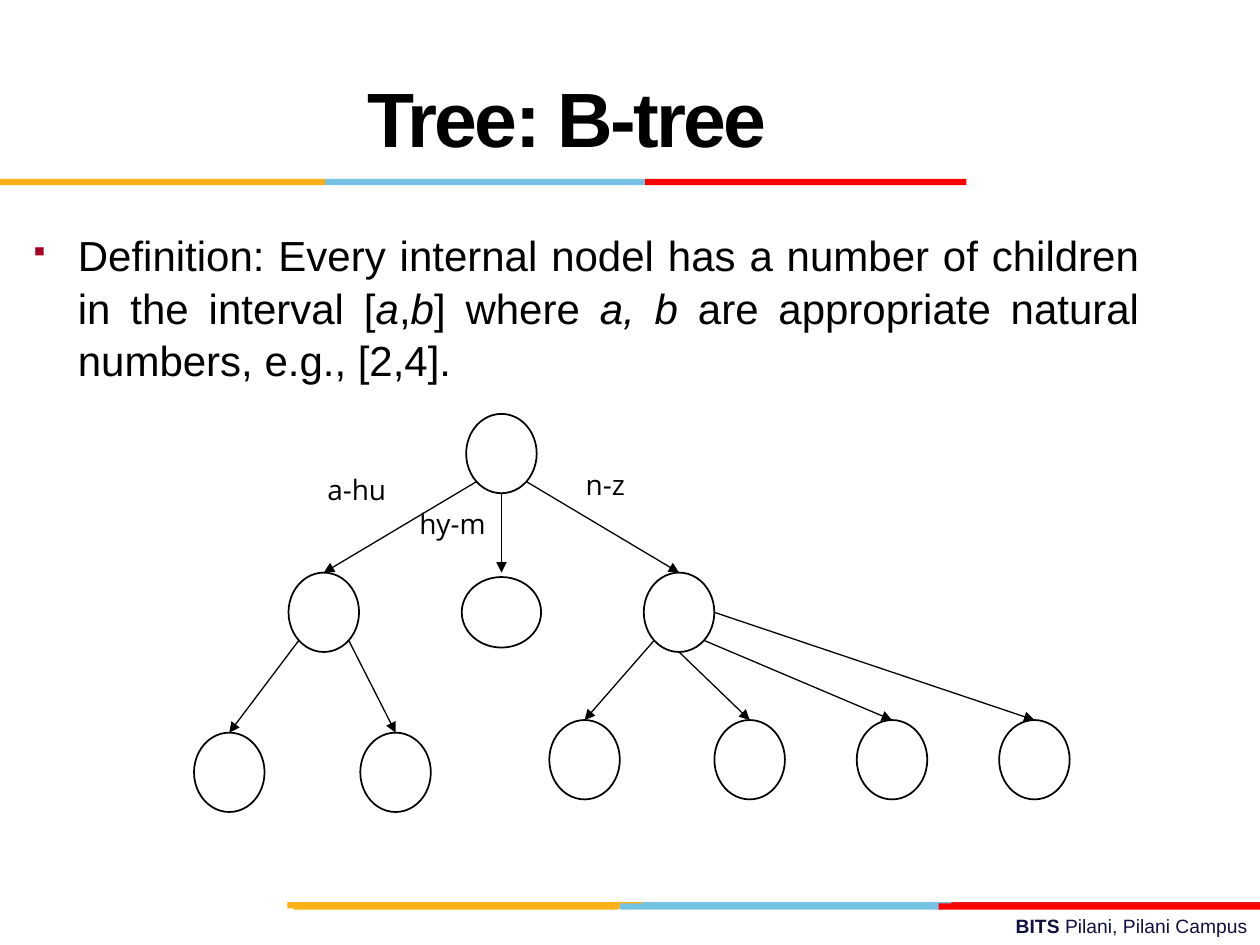
from math import cos, radians, sin
from lxml import etree
from pptx import Presentation
from pptx import util as u
from pptx.dml.color import RGBColor
from pptx.enum import shapes, text
from pptx.oxml.ns import qn

BLACK = RGBColor(0, 0, 0)
NAVY = RGBColor(0x10, 0x11, 0x41)
GOLD = RGBColor(0xFC, 0xB0, 0x17)
SKY = RGBColor(0x76, 0xC2, 0xE5)
CRIMSON = RGBColor(0xE3, 0x1C, 0x24)
RED = RGBColor(0xFF, 0, 0)

WIDE, HIGH = 0.56, 0.63
# Centre of each node; children hang below their parent
NODES = {
    "root": (3.98, 3.6),
    "left": (2.57, 4.86), "mid": (3.98, 4.86), "right": (5.39, 4.86),
    "l1": (1.82, 6.13), "l2": (3.14, 6.13),
    "r1": (4.64, 6.03), "r2": (5.95, 6.03), "r3": (7.08, 6.03), "r4": (8.21, 6.03),
}
# Parent, child, angle at which the arrow leaves the parent (90 is down)
EDGES = [
    ("root", "left", 135), ("root", "mid", 90), ("root", "right", 45),
    ("left", "l1", 135), ("left", "l2", 45),
    ("right", "r1", 135), ("right", "r2", 90), ("right", "r3", 45), ("right", "r4", 0),
]
LABELS = [("a-hu", 2.5, 3.7, 0.73), ("hy-m", 3.23, 3.97, 0.78), ("n-z", 4.55, 3.66, 0.58)]
BANDS = [
    (7.16, [(5.06, 2.55, SKY), (7.55, 2.45, CRIMSON), (2.28, 2.82, GOLD)]),
    (7.17, [(4.92, 2.55, SKY), (2.33, 2.58, GOLD), (7.45, 2.55, RED)]),
    (1.42, [(2.58, 2.55, SKY), (0, 2.58, GOLD), (5.12, 2.55, RED)]),
]


def box(slide, at, runs, align=text.PP_ALIGN.LEFT, wrap=True, bullet=None, **font):
    """Add a one-paragraph text box; runs are (text, extra font values) pairs."""
    frame = slide.shapes.add_textbox(*map(u.Inches, at)).text_frame
    frame.word_wrap = wrap
    para = frame.paragraphs[0]
    para.alignment = align
    if bullet:
        mark(para, *bullet)
    for words, extra in runs:
        run = para.add_run()
        run.text = words
        values = {"name": "Arial", "color": BLACK, **font, **extra}
        run.font.color.rgb = values.pop("color")
        for key, value in values.items():
            setattr(run.font, key, value)
    return frame


def mark(para, char, color, size, indent):
    """Give the paragraph a bullet with a hanging indent."""
    props = para._p.get_or_add_pPr()
    props.set("marL", str(u.Inches(indent)))
    props.set("indent", str(-u.Inches(indent)))
    tint = etree.SubElement(props, qn("a:buClr"))
    etree.SubElement(tint, qn("a:srgbClr")).set("val", color)
    etree.SubElement(props, qn("a:buSzPct")).set("val", str(size * 1000))
    etree.SubElement(props, qn("a:buChar")).set("char", char)


def band(slide, top, parts):
    for left, width, color in parts:
        bar = slide.shapes.add_shape(
            shapes.MSO_SHAPE.RECTANGLE, *map(u.Inches, (left, top, width, 0.05)))
        bar.shadow.inherit = False
        bar.fill.solid()
        bar.fill.fore_color.rgb = color
        bar.line.fill.background()


def node(slide, x, y, width=WIDE, height=HIGH):
    oval = slide.shapes.add_shape(
        shapes.MSO_SHAPE.OVAL,
        *map(u.Inches, (x - width / 2, y - height / 2, width, height)))
    oval.shadow.inherit = False
    oval.fill.background()
    oval.line.color.rgb = BLACK
    oval.line.width = u.Pt(1)


def edge(slide, start, end, angle):
    """Draw an arrow from the rim of one node to the top of another."""
    (x, y), (tip, low) = NODES[start], NODES[end]
    turn = radians(angle)
    ends = (x + WIDE / 2 * cos(turn), y + HIGH / 2 * sin(turn), tip, low - HIGH / 2)
    line = slide.shapes.add_connector(
        shapes.MSO_CONNECTOR.STRAIGHT, *map(u.Inches, ends))
    line.line.color.rgb = BLACK
    line.line.width = u.Pt(0.75)
    etree.SubElement(line.line._get_or_add_ln(), qn("a:tailEnd")).set("type", "triangle")
    etree.SubElement(line._element.spPr, qn("a:effectLst"))


def main():
    deck = Presentation()
    deck.slide_width, deck.slide_height = u.Inches(10), u.Inches(7.5)
    slide = deck.slides.add_slide(deck.slide_layouts[6])

    box(slide, (3.58, 7.21, 6.42, 0.29),
        [("BITS ", {"bold": True}), ("Pilani, Pilani Campus", {})],
        text.PP_ALIGN.RIGHT, size=u.Pt(11), color=NAVY)
    for top, parts in BANDS:
        band(slide, top, parts)

    slant = {"italic": True}
    body = box(slide, (0.14, 1.75, 9, 4.95), [
        ("Definition: Every internal nodel has a number of children in the interval [", {}),
        ("a", slant), (",", {}), ("b", slant), ("] where ", {}), ("a, b", slant),
        (" are appropriate natural numbers, e.g., [2,4].", {}),
    ], text.PP_ALIGN.JUSTIFY, bullet=("▪", "A50021", 60, 0.38), size=u.Pt(24))
    body.paragraphs[0].line_spacing = 1.05

    title = box(slide, (0, 0.3, 9, 1.25), [("Tree: B-tree", {})],
                text.PP_ALIGN.CENTER, size=u.Pt(44), bold=True)
    title.vertical_anchor = text.MSO_ANCHOR.MIDDLE
    title.paragraphs[0].runs[0].font._element.set("spc", "-150")

    for name, spot in NODES.items():
        size = (HIGH, WIDE) if name == "mid" else (WIDE, HIGH)
        node(slide, *spot, *size)
    for link in EDGES:
        edge(slide, *link)
    for words, left, top, width in LABELS:
        box(slide, (left, top, width, 0.47), [(words, {})], wrap=False,
            name="Open Sans", size=u.Pt(16))

    deck.save("out.pptx")


if __name__ == "__main__":
    main()
